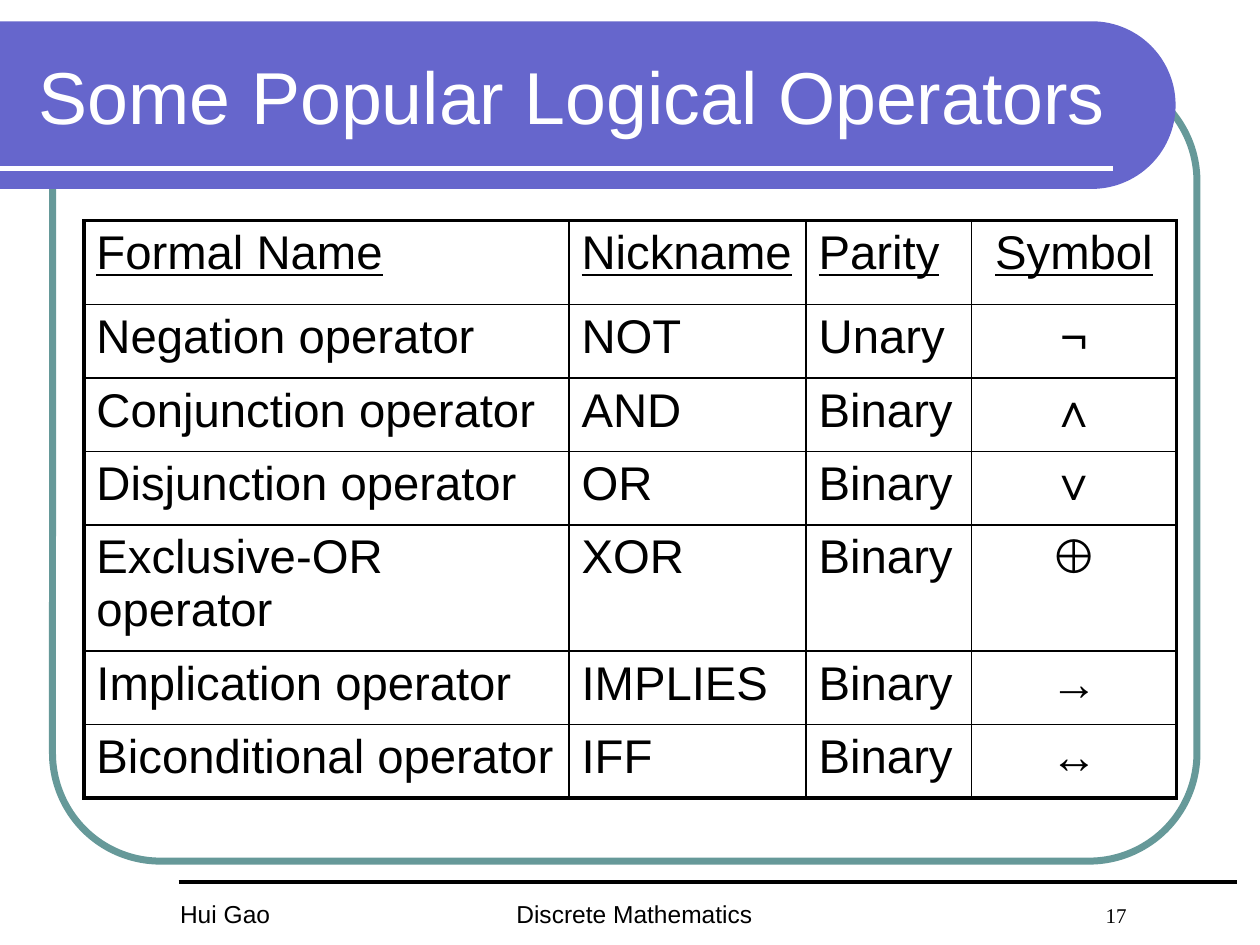
from dataclasses import dataclass
from math import cos, pi, sin
from typing import NamedTuple

from lxml.etree import SubElement
from pptx import Presentation
from pptx.dml.color import RGBColor
from pptx.enum.shapes import MSO_CONNECTOR, MSO_SHAPE
from pptx.enum.text import MSO_ANCHOR, MSO_AUTO_SIZE, PP_ALIGN
from pptx.oxml.ns import qn
from pptx.util import Cm, Pt


@dataclass(frozen=True)
class Theme:
    banner: str = "6666CC"
    frame: str = "669999"
    ink: str = "000000"
    paper: str = "FFFFFF"
    font: str = "Arial"
    number_font: str = "Times New Roman"
    title_size: float = 42
    table_size: float = 27
    footer_size: float = 14
    number_size: float = 12
    frame_line: float = 4
    title_line: float = 3
    thick_line: float = 2.25
    thin_line: float = 1


class Box(NamedTuple):
    """A region in centimetres."""
    left: float
    top: float
    width: float
    height: float

    def lengths(self):
        return [Cm(value) for value in self]


THEME = Theme()
HEADINGS = ("Formal Name", "Nickname", "Parity", "Symbol")
OPERATORS = [
    ("Negation operator", "NOT", "Unary", "¬"),
    ("Conjunction operator", "AND", "Binary", "∧"),
    ("Disjunction operator", "OR", "Binary", "∨"),
    ("Exclusive-OR operator", "XOR", "Binary", "⊕"),
    ("Implication operator", "IMPLIES", "Binary", "→"),
    ("Biconditional operator", "IFF", "Binary", "↔"),
]
BOLD_SYMBOLS = "∧∨⊕→"
COLUMN_WIDTHS = (9.78, 4.78, 3.33, 4.14)
HEADING_HEIGHT, ROW_HEIGHT = 1.69, 1.48


def colour(code):
    return RGBColor.from_string(code)


def write(paragraph, text, size, font=THEME.font, ink=THEME.ink,
          bold=False, underline=False, align=PP_ALIGN.LEFT):
    """Add a formatted run to a paragraph."""
    paragraph.alignment = align
    run = paragraph.add_run()
    run.text = text
    run.font.name, run.font.size = font, Pt(size)
    run.font.bold, run.font.underline = bold, underline
    run.font.color.rgb = colour(ink)


def add_rule(slide, left, top, width, ink, weight):
    rule = slide.shapes.add_connector(
        MSO_CONNECTOR.STRAIGHT, Cm(left), Cm(top), Cm(left + width), Cm(top))
    rule.line.color.rgb = colour(ink)
    rule.line.width = Pt(weight)
    SubElement(rule._element.spPr, qn("a:effectLst"))


def add_footer_box(slide, box):
    frame = slide.shapes.add_textbox(*box.lengths()).text_frame
    frame.word_wrap = True
    return frame


def add_frame(slide, box):
    frame = slide.shapes.add_shape(MSO_SHAPE.ROUNDED_RECTANGLE, *box.lengths())
    frame.adjustments[0] = 0.137
    frame.shadow.inherit = False
    frame.fill.background()
    frame.line.color.rgb = colour(THEME.frame)
    frame.line.width = Pt(THEME.frame_line)


def add_banner(slide, box, text):
    # Band with a half-round right end
    radius = box.height / 2
    centre_x, centre_y = box.left + box.width - radius, box.top + radius
    steps = 60
    angles = [pi * step / steps - pi / 2 for step in range(steps + 1)]
    outline = [(Cm(centre_x + radius * cos(a)), Cm(centre_y + radius * sin(a)))
               for a in angles]
    outline.append((Cm(box.left), Cm(box.top + box.height)))
    builder = slide.shapes.build_freeform(Cm(box.left), Cm(box.top))
    builder.add_line_segments(outline, close=True)
    band = builder.convert_to_shape()
    band.shadow.inherit = False
    band.fill.solid()
    band.fill.fore_color.rgb = colour(THEME.banner)
    band.line.fill.background()

    add_rule(slide, box.left, box.top + 2.96, box.width - 1.27,
             THEME.paper, THEME.title_line)

    # Title, brought in front of the band
    title = slide.shapes.title
    title.left, title.top, title.width, title.height = Box(
        box.left + 0.53, box.top + 0.21, box.width - 0.53, 2.54).lengths()
    title.text_frame.vertical_anchor = MSO_ANCHOR.MIDDLE
    title.text_frame.auto_size = MSO_AUTO_SIZE.NONE
    write(title.text_frame.paragraphs[0], text, THEME.title_size,
          ink=THEME.paper)
    title.element.getparent().append(title.element)


def set_border(cell, side, weight):
    line = SubElement(cell._tc.get_or_add_tcPr(), qn(f"a:ln{side}"),
                      w=str(Pt(weight)))
    fill = SubElement(line, qn("a:solidFill"))
    SubElement(fill, qn("a:srgbClr"), val=THEME.ink)


def add_operator_table(slide, box):
    rows = [HEADINGS, *OPERATORS]
    table = slide.shapes.add_table(
        len(rows), len(HEADINGS), *box.lengths()).table
    table.first_row = table.horz_banding = False
    for column, width in zip(table.columns, COLUMN_WIDTHS):
        column.width = Cm(width)

    last_row, last_column = len(rows) - 1, len(HEADINGS) - 1
    for r, row in enumerate(rows):
        table.rows[r].height = Cm(ROW_HEIGHT if r else HEADING_HEIGHT)
        for c, text in enumerate(row):
            cell = table.cell(r, c)
            # Thick lines on the outside, thin ones within
            outer = {"L": c == 0, "R": c == last_column,
                     "T": r == 0, "B": r == last_row}
            for side, is_outer in outer.items():
                set_border(cell, side,
                           THEME.thick_line if is_outer else THEME.thin_line)
            cell.fill.solid()
            cell.fill.fore_color.rgb = colour(THEME.paper)
            write(cell.text_frame.paragraphs[0], text, THEME.table_size,
                  bold=text in BOLD_SYMBOLS, underline=r == 0,
                  align=PP_ALIGN.CENTER if c == last_column else PP_ALIGN.LEFT)


def add_footer(slide, box, author, course, number):
    add_rule(slide, box.left + 0.22, box.top, box.width - 0.22,
             THEME.ink, THEME.thick_line)
    text_top, text_height = box.top + 0.21, 0.85

    author_frame = add_footer_box(
        slide, Box(box.left, text_top, 4.87, text_height))
    write(author_frame.paragraphs[0], author, THEME.footer_size)

    # Course name, then the page number at a tab stop
    course_frame = add_footer_box(
        slide, Box(box.left + 6.78, text_top, 15.03, text_height))
    paragraph = course_frame.paragraphs[0]
    tabs = SubElement(paragraph._p.get_or_add_pPr(), qn("a:tabLst"))
    SubElement(tabs, qn("a:tab"), pos=str(Cm(11.88)), algn="l")
    write(paragraph, course + "\t", THEME.footer_size)
    write(paragraph, number, THEME.number_size, font=THEME.number_font)


def main():
    deck = Presentation()
    deck.slide_width, deck.slide_height = Cm(25.4), Cm(19.05)
    slide = deck.slides.add_slide(deck.slide_layouts.get_by_name("Title Only"))
    add_frame(slide, Box(1.06, 1.48, 23.07, 15.88))
    add_banner(slide, Box(0, 0.43, 23.7, 3.38),
               "Some Popular Logical Operators")
    add_footer(slide, Box(3.38, 17.78, 21.56, 1.06),
               "Hui Gao", "Discrete Mathematics", "17")
    add_operator_table(slide, Box(1.69, 4.45, 22.03, 10.57))
    deck.save("out.pptx")


if __name__ == "__main__":
    main()
